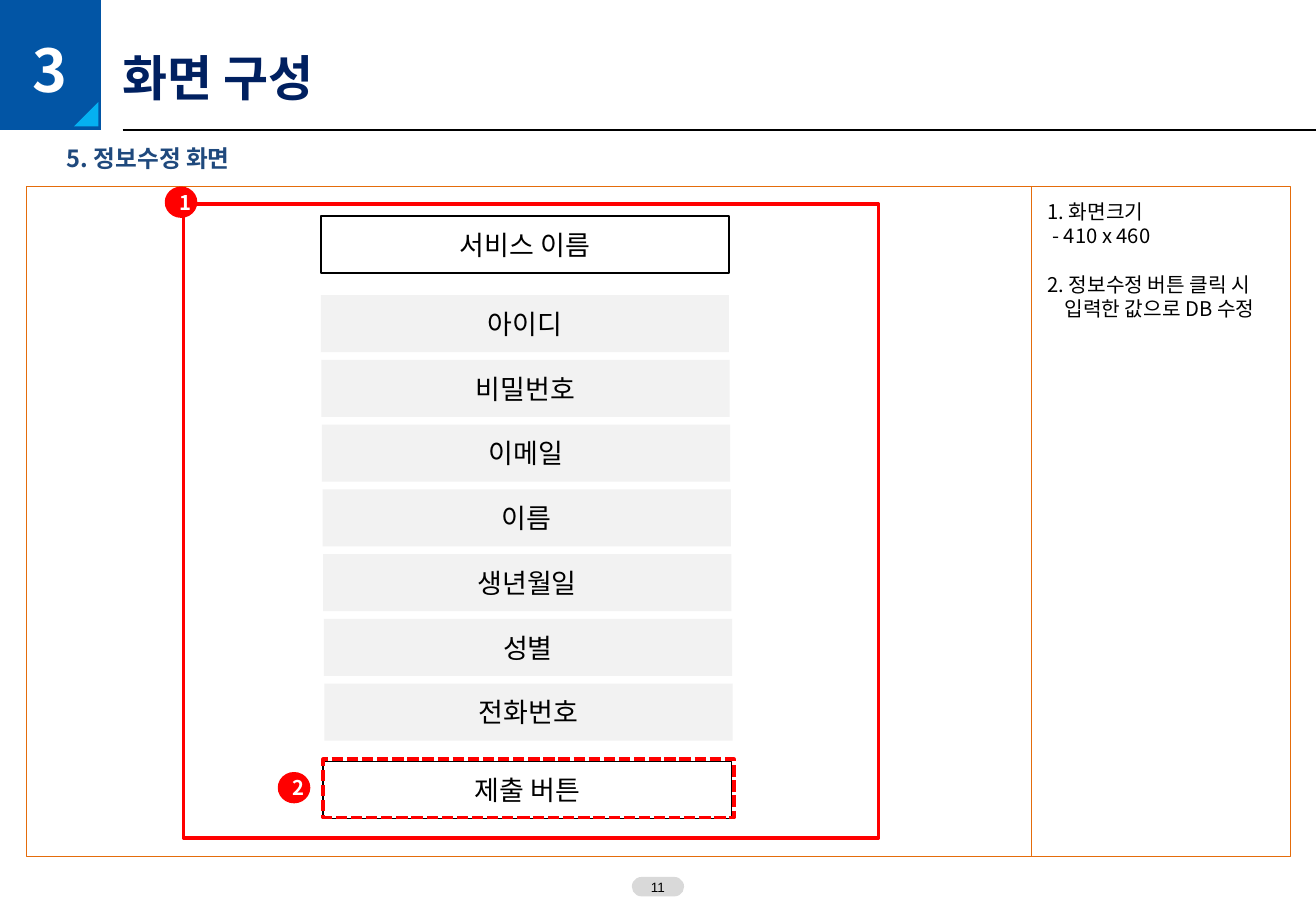
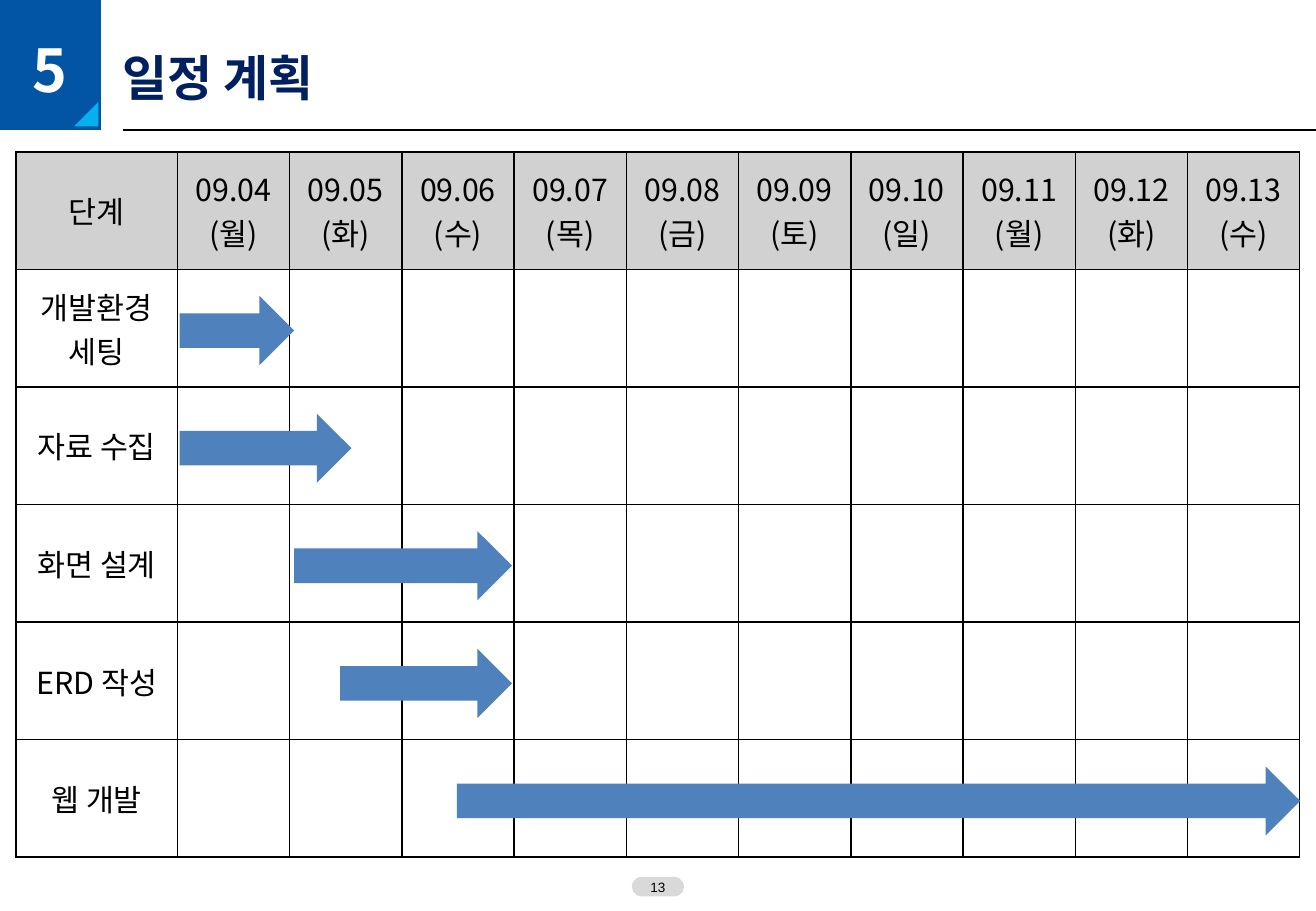
from pptx import Presentation
from pptx.dml.color import RGBColor
from pptx.enum.dml import MSO_LINE
from pptx.enum.shapes import MSO_CONNECTOR, MSO_SHAPE
from pptx.enum.text import MSO_ANCHOR, MSO_AUTO_SIZE, PP_ALIGN
from pptx.oxml.ns import qn
from pptx.util import Inches, Pt
from lxml import etree

RECT, OVAL = MSO_SHAPE.RECTANGLE, MSO_SHAPE.OVAL
ARROW, PILL = MSO_SHAPE.RIGHT_ARROW, MSO_SHAPE.ROUNDED_RECTANGLE
TRIANGLE = MSO_SHAPE.RIGHT_TRIANGLE
STRAIGHT = MSO_CONNECTOR.STRAIGHT
LEFT, CENTER = PP_ALIGN.LEFT, PP_ALIGN.CENTER
TOP, MIDDLE = MSO_ANCHOR.TOP, MSO_ANCHOR.MIDDLE
FIXED = MSO_AUTO_SIZE.NONE
DASH = MSO_LINE.SQUARE_DOT

WIDTH, HEIGHT = 10.83, 7.5
KOREAN, LATIN = "Noto Sans CJK KR", "Arial"
NAVY, BLUE, SKY, HEADING = "002060", "0255A5", "05B0F1", "1F497D"
BLACK, WHITE, RED, ORANGE = "000000", "FFFFFF", "FF0000", "E46C0B"
FIELD_GRAY, PILL_GRAY, HEAD_GRAY = "F2F2F2", "D9D9D9", "D1D1D1"
ARROW_BLUE = "4F81BD"

# Header band
BAND_W, BAND_H, TITLE_X = 0.83, 1.07, 1.01

# Form mock-up: one column of fields, each stepping slightly right
FORM_X, FORM_W, FIELD_H = 2.64, 3.36, 0.47
FIELD_Y, FIELD_PITCH, FIELD_DRIFT = 2.43, 0.533, 0.005

# Schedule grid
GRID_X, GRID_Y = 0.13, 1.25
STAGE_W, DAY_W, ROW_H = 1.33, 0.924, 0.968
ARROW_H = 0.57


def rgb(value):
    return RGBColor.from_string(value)


def box(*lengths):
    return [Inches(n) for n in lengths]


def style_run(r, size, color=BLACK, bold=False, font=KOREAN):
    for name, value in {"size": Pt(size), "bold": bold, "name": font}.items():
        setattr(r.font, name, value)
    r.font.color.rgb = rgb(color)
    etree.SubElement(r._r.get_or_add_rPr(), qn("a:ea")).set("typeface", KOREAN)


def write(tf, lines, size, align=CENTER, anchor=MIDDLE, pitch=None, **style):
    """Fill a text frame, one paragraph a line; pitch is the line height."""
    tf.vertical_anchor = anchor
    for i, line in enumerate(lines):
        p = tf.paragraphs[0] if i == 0 else tf.add_paragraph()
        p.alignment = align
        if pitch:
            p.line_spacing = Pt(pitch)
        r = p.add_run()
        r.text = line
        style_run(r, size, **style)


def set_insets(tf, left=0, right=0, top=0, bottom=0):
    for side, value in dict(left=left, right=right, top=top, bottom=bottom).items():
        setattr(tf, "margin_" + side, Inches(value))


def add_shape(shapes, kind, place, fill=None, line=None, weight=1, dash=None):
    shape = shapes.add_shape(kind, *box(*place))
    shape.shadow.inherit = False
    if fill:
        shape.fill.solid()
        shape.fill.fore_color.rgb = rgb(fill)
    else:
        shape.fill.background()
    if line:
        shape.line.color.rgb = rgb(line)
        shape.line.width = Pt(weight)
        if dash:
            shape.line.dash_style = dash
    else:
        shape.line.fill.background()
    return shape


def add_line(shapes, start, end, color, weight):
    line = shapes.add_connector(STRAIGHT, *box(*start, *end))
    line.line.color.rgb = rgb(color)
    line.line.width = Pt(weight)
    etree.SubElement(line._element.spPr, qn("a:effectLst"))


def add_label(s, place, text, size, pitch, **style):
    tf = s.shapes.add_textbox(*box(*place)).text_frame
    tf.word_wrap = False
    write(tf, [text], size, LEFT, TOP, pitch, bold=True, **style)


def add_field(s, place, text, **look):
    field = add_shape(s.shapes, RECT, place, **look)
    write(field.text_frame, [text], 16)


def add_marker(s, x, y, number):
    marker = add_shape(s.shapes, OVAL, (x, y, 0.24, 0.23), RED, RED, 2)
    set_insets(marker.text_frame, left=0.07)
    write(marker.text_frame, [number], 12, color=WHITE, bold=True)


def place_placeholder(holder, place):
    holder.left, holder.top, holder.width, holder.height = box(*place)
    holder.text_frame.auto_size = FIXED
    holder.text_frame.word_wrap = True
    return holder.text_frame


def add_framed_slide(prs, layout, section, title, page):
    """New slide with the shared header band, title, rule and page number."""
    s = prs.slides.add_slide(prs.slide_layouts[layout])
    tf = place_placeholder(s.shapes.title, (TITLE_X, 0.39, 5.11, 0.49))
    set_insets(tf)
    write(tf, [title], 29, LEFT, color=NAVY, bold=True, font=LATIN)

    add_shape(s.shapes, RECT, (0, 0, BAND_W, BAND_H), BLUE)
    add_label(s, (0.17, 0.2, 0.49, 0.69), section, 35, 44, color=WHITE)
    corner = add_shape(s.shapes, TRIANGLE, (0.61, 0.84, 0.2, 0.2), SKY)
    corner._element.spPr.find(qn("a:xfrm")).set("flipH", "1")
    add_line(s.shapes, (TITLE_X, BAND_H), (WIDTH, BAND_H), BLACK, 0.75)

    pill = add_shape(s.shapes, PILL, (5.2, 7.22, 0.43, 0.16), PILL_GRAY)
    pill.adjustments[0] = 0.5
    set_insets(pill.text_frame)
    write(pill.text_frame, [page], 8, font=LATIN)
    return s


def add_notes_list(s):
    """Numbered remarks in the body placeholder: text, indent, gap before."""
    remarks = [("1. 화면크기", 0, 0), ("- 410 x 460", 0.04, 0),
               ("2. 정보수정 버튼 클릭 시", 0, 14.4), ("입력한 값으로 DB 수정", 0.14, 0)]
    tf = place_placeholder(s.placeholders[1], (8.52, 1.59, 2.23, 1.11))
    write(tf, [text for text, _, _ in remarks], 12, LEFT, TOP, 14.4)
    for p, (_, indent, gap) in zip(tf.paragraphs, remarks):
        p.space_before = Pt(gap)
        props = p._p.get_or_add_pPr()
        props.set("marL", str(Inches(indent)))
        props.set("indent", "0")
        etree.SubElement(props, qn("a:buNone"))


def build_screen_slide(prs):
    s = add_framed_slide(prs, 1, "3", "화면 구성", "11")
    add_label(s, (0.45, 1.13, 1.68, 0.34), "5. 정보수정 화면", 14, 17, color=HEADING)

    # Panel with a side column for remarks
    panel = s.shapes.add_group_shape().shapes
    add_shape(panel, RECT, (0.22, 1.53, 10.4, 5.52), line=ORANGE, weight=0.25)
    add_line(panel, (8.49, 1.53), (8.49, 7.05), ORANGE, 0.25)
    add_notes_list(s)

    # Form
    add_field(s, (2.66, 6.27, FORM_W, FIELD_H), "제출 버튼", line=BLACK)
    add_field(s, (FORM_X, 1.78, FORM_W, FIELD_H), "서비스 이름", line=BLACK)
    names = ["아이디", "비밀번호", "이메일", "이름", "생년월일", "성별", "전화번호"]
    for i, name in enumerate(names):
        place = (FORM_X + i * FIELD_DRIFT, FIELD_Y + i * FIELD_PITCH, FORM_W, FIELD_H)
        add_field(s, place, name, fill=FIELD_GRAY)

    # Red call-outs
    add_shape(s.shapes, RECT, (1.51, 1.68, 5.72, 5.22), line=RED, weight=2)
    add_marker(s, 1.37, 1.55, "1")
    add_marker(s, 2.3, 6.37, "2")
    add_shape(s.shapes, RECT, (2.66, 6.25, 3.38, 0.48), line=RED, weight=2.25, dash=DASH)


def style_cell(cell, fill=None):
    props = cell._tc.get_or_add_tcPr()
    for side in ("lnL", "lnR", "lnT", "lnB"):
        border = etree.SubElement(props, qn("a:" + side), w=str(Pt(1)))
        solid = etree.SubElement(border, qn("a:solidFill"))
        etree.SubElement(solid, qn("a:srgbClr"), val=BLACK)
    if fill:
        cell.fill.solid()
        cell.fill.fore_color.rgb = rgb(fill)
    else:
        cell.fill.background()
    cell.vertical_anchor = MIDDLE


def add_schedule(s, header, stages):
    rows, cols = len(stages) + 1, len(header)
    size = (STAGE_W + (cols - 1) * DAY_W, rows * ROW_H)
    table = s.shapes.add_table(rows, cols, *box(GRID_X, GRID_Y, *size)).table
    table.first_row = table.horz_banding = False
    for i, column in enumerate(table.columns):
        column.width = Inches(DAY_W if i else STAGE_W)
    for row in table.rows:
        row.height = Inches(ROW_H)
    for r in range(rows):
        for c in range(cols):
            cell = table.cell(r, c)
            style_cell(cell, None if r else HEAD_GRAY)
            if r == 0:
                write(cell.text_frame, header[c], 18)
            elif c == 0:
                write(cell.text_frame, [stages[r - 1]], 18)


def add_bar(s, row, start, end):
    """Arrow over a stage row, from one day position to another."""
    x = GRID_X + STAGE_W + start * DAY_W
    y = GRID_Y + (row + 0.5) * ROW_H - ARROW_H / 2 + 0.02
    add_shape(s.shapes, ARROW, (x, y, (end - start) * DAY_W, ARROW_H), ARROW_BLUE)


def build_schedule_slide(prs):
    s = add_framed_slide(prs, 5, "5", "일정 계획", "13")
    weekdays = "월화수목금토일월화수"
    days = [[f"09.{day:02}", f"({name})"] for day, name in enumerate(weekdays, 4)]
    plan = {"개발환경 세팅": (0.02, 1.04), "자료 수집": (0.02, 1.55),
            "화면 설계": (1.04, 2.98), "ERD 작성": (1.45, 2.98),
            "웹 개발": (2.49, 10)}
    add_schedule(s, [["단계"]] + days, list(plan))
    for row, (start, end) in enumerate(plan.values(), 1):
        add_bar(s, row, start, end)


def main():
    prs = Presentation()
    prs.slide_width, prs.slide_height = box(WIDTH, HEIGHT)
    build_screen_slide(prs)
    build_schedule_slide(prs)
    prs.save("out.pptx")


if __name__ == "__main__":
    main()
